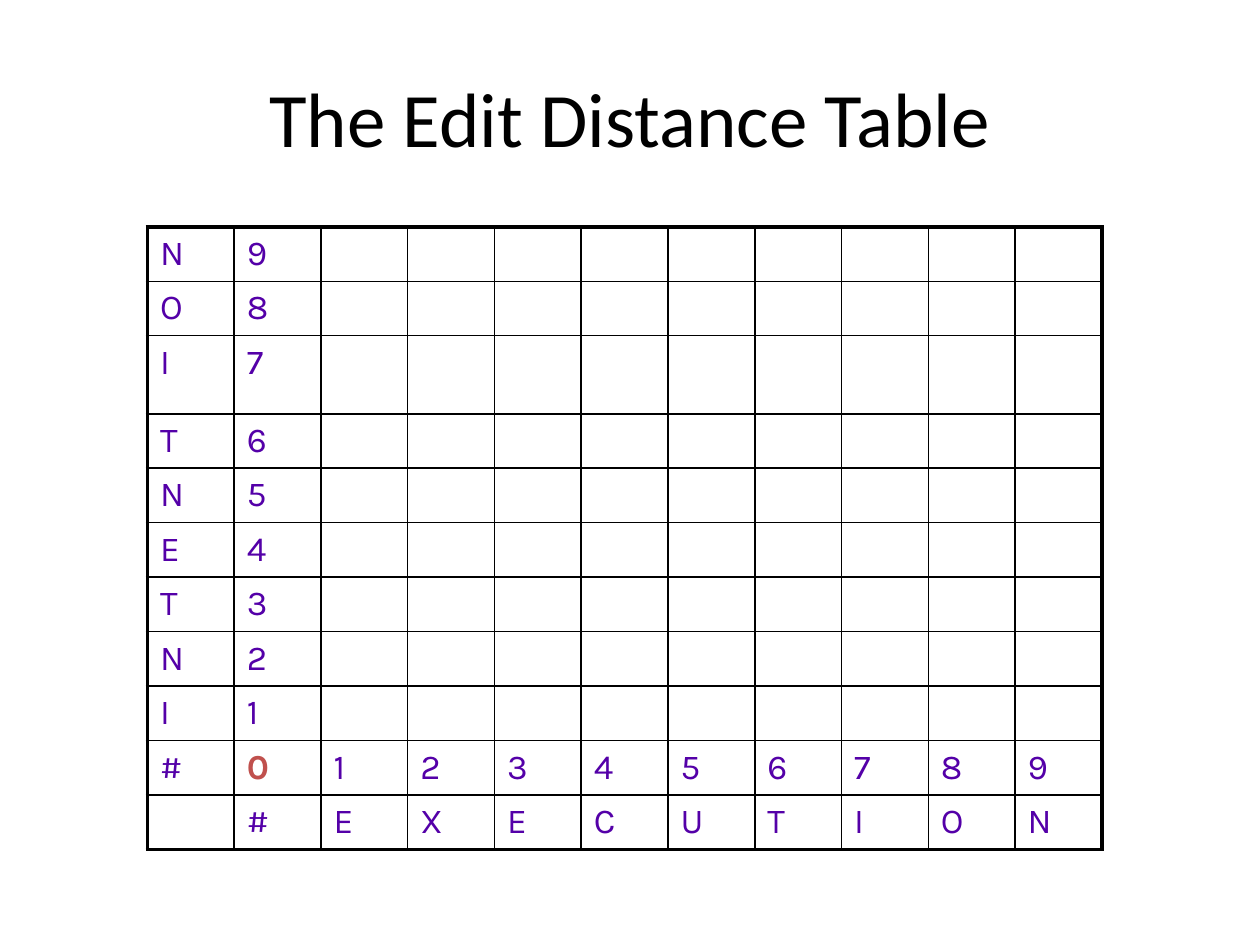
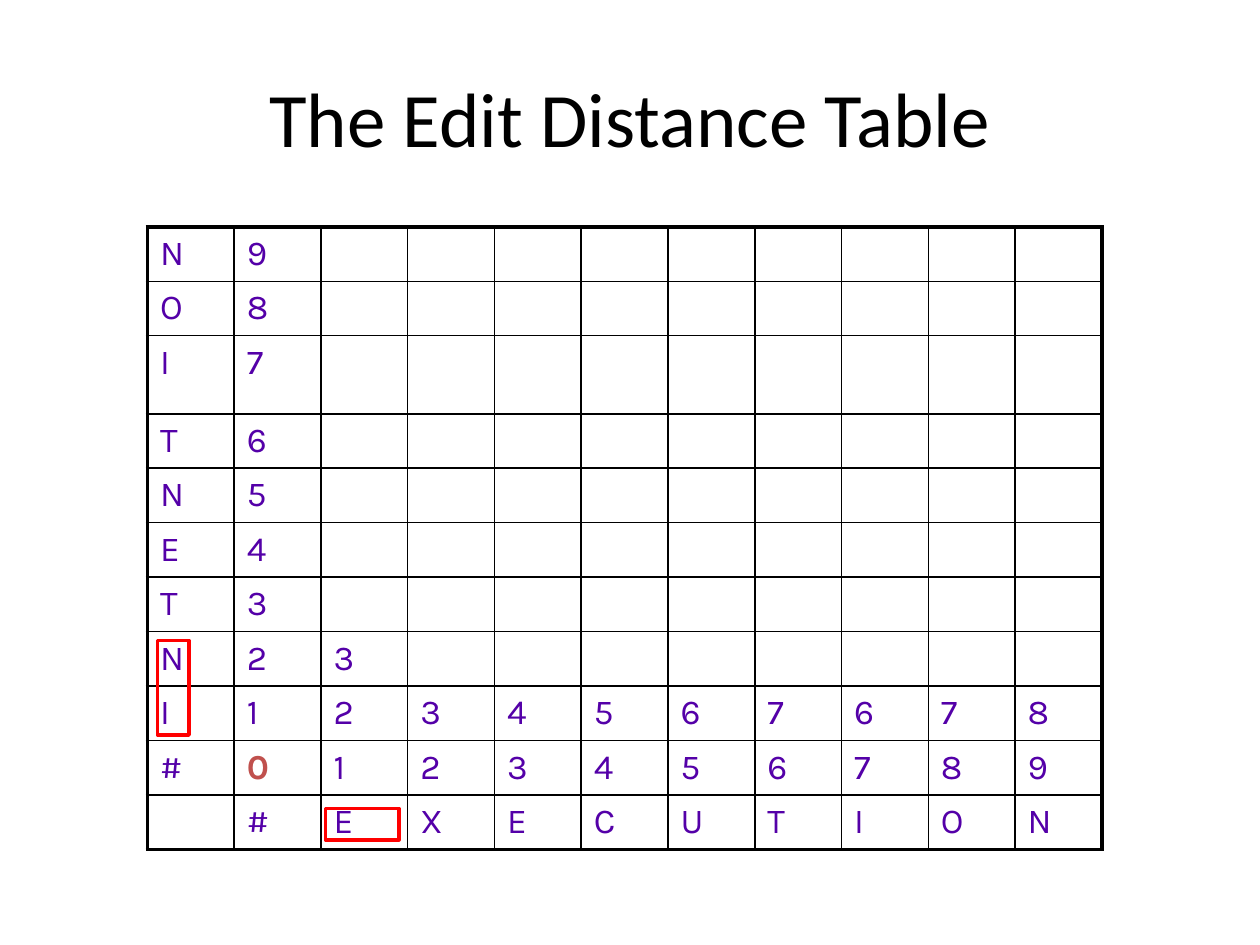
"""Build two slides that show the edit distance table of INTENTION and EXECUTION."""

from lxml.etree import SubElement
from pptx import Presentation
from pptx.dml.color import RGBColor
from pptx.enum.shapes import MSO_SHAPE
from pptx.enum.text import MSO_ANCHOR, PP_ALIGN
from pptx.oxml.ns import qn
from pptx.util import Pt

BLACK = RGBColor(0x00, 0x00, 0x00)
PURPLE = RGBColor(0x54, 0x00, 0xA8)
BRICK = RGBColor(0xC0, 0x50, 0x4D)
RED = RGBColor(0xFF, 0x00, 0x00)

TITLE = "The Edit Distance Table"
SOURCE_WORD = "INTENTION"
TARGET_WORD = "EXECUTION"
FIRST_DISTANCES = {1: [2, 3, 4, 5, 6, 7, 6, 7, 8], 2: [3]}


class DistanceDeck:
    """Hold the shared style and the current slide."""

    title_font = "Calibri"
    table_font = "Karla"
    column_width = Pt(49.6)
    row_height = Pt(31.15)
    tall_row, tall_height = 2, Pt(44.6)
    inner_line, outer_line = Pt(1), Pt(2.25)

    def __init__(self):
        self.deck = Presentation()
        self.deck.slide_width, self.deck.slide_height = Pt(720), Pt(540)
        self.page = None

    def add_page(self, title):
        self.page = self.deck.slides.add_slide(self.deck.slide_layouts[5])
        box = self.page.shapes.title
        box.left, box.top, box.width, box.height = Pt(36), Pt(21.6), Pt(648), Pt(90)
        box.text_frame.vertical_anchor = MSO_ANCHOR.MIDDLE
        box.text_frame.text = title
        para = box.text_frame.paragraphs[0]
        para.alignment = PP_ALIGN.CENTER
        self.set_font(para, self.title_font, 44, BLACK)

    def set_font(self, para, name, size, color, bold=False):
        para.font.name = name
        para.font.size = Pt(size)
        para.font.color.rgb = color
        para.font.bold = bold

    def add_borders(self, cell, outer_sides):
        properties = cell._tc.get_or_add_tcPr()
        for side, is_outer in outer_sides.items():
            width = self.outer_line if is_outer else self.inner_line
            line = SubElement(properties, qn(f"a:ln{side}"), w=str(width))
            fill = SubElement(line, qn("a:solidFill"))
            SubElement(fill, qn("a:srgbClr"), val=str(BLACK))

    def add_table(self, rows):
        row_count, column_count = len(rows), len(rows[0])
        heights = [self.row_height] * row_count
        heights[self.tall_row] = self.tall_height
        frame = self.page.shapes.add_table(
            row_count, column_count, Pt(84.24), Pt(129.6),
            self.column_width * column_count, sum(heights))
        table = frame.table
        table.first_row = table.horz_banding = False
        for column in table.columns:
            column.width = self.column_width
        for row, height in zip(table.rows, heights):
            row.height = height
        for row_index, values in enumerate(rows):
            for column_index, value in enumerate(values):
                cell = table.cell(row_index, column_index)
                self.add_borders(cell, {
                    "L": column_index == 0,
                    "R": column_index == column_count - 1,
                    "T": row_index == 0,
                    "B": row_index == row_count - 1,
                })
                cell.fill.background()
                cell.text = str(value)
                is_start = value == 0
                self.set_font(cell.text_frame.paragraphs[0], self.table_font, 20,
                              BRICK if is_start else PURPLE, is_start)

    def add_highlight(self, left, top, width, height):
        box = self.page.shapes.add_shape(
            MSO_SHAPE.RECTANGLE, Pt(left), Pt(top), Pt(width), Pt(height))
        box.shadow.inherit = False
        box.fill.background()
        box.line.color.rgb = RED
        box.line.width = Pt(2)


def distance_rows(known):
    """Return the table from top to bottom, with the known inner distances filled in."""
    size = len(TARGET_WORD)
    rows = []
    for index in range(len(SOURCE_WORD), 0, -1):
        distances = known.get(index, [])
        blanks = [""] * (size - len(distances))
        rows.append([SOURCE_WORD[index - 1], index, *distances, *blanks])
    rows.append(["#", *range(size + 1)])
    rows.append(["", "#", *TARGET_WORD])
    return rows


def main():
    """Build and save both slides."""
    slides = DistanceDeck()
    for known in ({}, FIRST_DISTANCES):
        slides.add_page(TITLE)
        slides.add_table(distance_rows(known))
    slides.add_highlight(186, 462, 42, 18)
    slides.add_highlight(90, 366, 18, 54)
    slides.deck.save("out.pptx")


if __name__ == "__main__":
    main()
